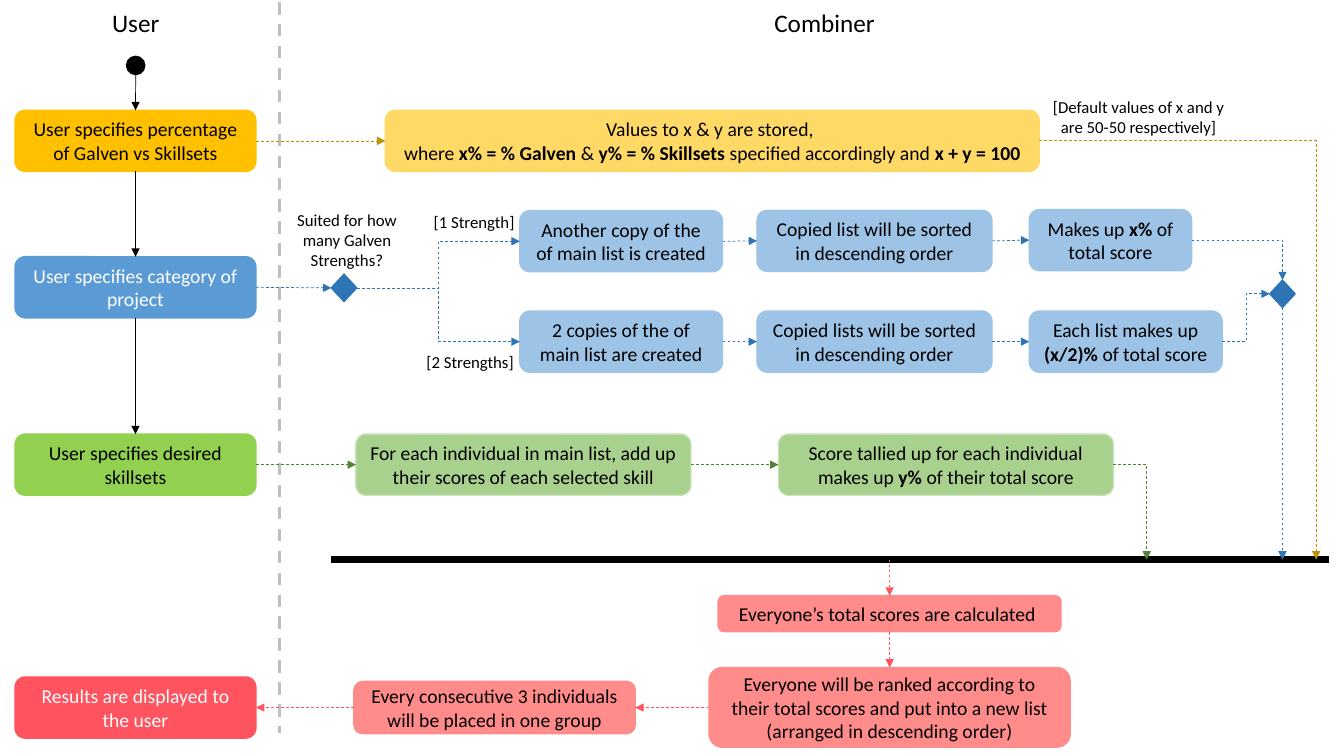
from dataclasses import dataclass
from typing import Optional

from pptx import Presentation
from pptx import util as u
from pptx.dml.color import RGBColor
from pptx.enum import dml, shapes, text
from pptx.oxml.ns import qn

FONT = "Calibri"
BLACK, WHITE = "000000", "FFFFFF"
GOLD, BLUE, GREEN, RED = "BF9000", "2E75B6", "548235", "FF535F"
PALE_BLUE, PALE_GREEN, PALE_RED = "9DC3E6", "A9D18E", "FF8B8B"
TOP, LEFT, BOTTOM, RIGHT = range(4)
ROUNDED = shapes.MSO_SHAPE.ROUNDED_RECTANGLE
DIAMOND = shapes.MSO_SHAPE.FLOWCHART_SORT
ROW = 1.54
BAR_Y = 14.1


@dataclass
class Node:
    name: str
    left: float
    top: float
    width: float
    fill: str
    words: str = ""
    height: float = ROW
    ink: str = BLACK
    outline: Optional[str] = None
    kind: int = ROUNDED


@dataclass
class Label:
    left: float
    top: float
    width: float
    height: float
    words: str
    size: int = 12


@dataclass
class Arrow:
    source: str
    exit: int
    target: str
    entry: int
    colour: str
    bends: int = 0


@dataclass
class BarArrow:
    source: str
    exit: int
    x: float
    colour: str
    bends: int = 0


def user_step(name: str, top: float, fill: str, words: str, ink: str = BLACK) -> Node:
    return Node(name, 0.38, top, 6.07, fill, words, ink=ink)


def diamond(name: str, left: float, top: float) -> Node:
    return Node(name, left, top, 0.64, BLUE, height=0.69, kind=DIAMOND)


LABELS = [
    Label(17.96, 0.05, 5.64, 1.02, "Combiner", 18),
    Label(0.6, 0.05, 5.64, 1.02, "User", 18),
    Label(7.07, 5.16, 3.35, 1.8, "Suited for how many Galven Strengths?"),
    Label(10.64, 5.21, 2.62, 0.76, "[1 Strength]"),
    Label(10.44, 8.74, 2.82, 0.76, "[2 Strengths]"),
    Label(25.99, 2.31, 5.41, 1.27, "[Default values of x and y are 50-50 respectively]"),
]

NODES = [
    Node("start", 3.19, 1.42, 0.46, BLACK, height=0.46, kind=shapes.MSO_SHAPE.OVAL),
    user_step("percentage", 2.78, "FFC000", "User specifies percentage of Galven vs Skillsets"),
    user_step("category", 6.47, "5B9BD5", "User specifies category of project", WHITE),
    user_step("skillsets", 10.94, "92D050", "User specifies desired skillsets"),
    user_step("results", 17.06, RED, "Results are displayed to the user", WHITE),
    Node("values", 9.71, 2.78, 16.48, "FFD966",
         "Values to x & y are stored, \nwhere *x% = % Galven *& *y% = % Skillsets*"
         " specified accordingly and *x + y = 100*"),
    diamond("split", 8.35, 6.91),
    Node("one copy", 13.1, 5.31, 5.11, PALE_BLUE, "Another copy of the of main list is created"),
    Node("one sorted", 19.08, 5.3, 5.92, PALE_BLUE, "Copied list will be sorted in descending order"),
    Node("one share", 25.94, 5.28, 4.09, PALE_BLUE, "Makes up *x%* of total score"),
    Node("two copies", 13.1, 7.84, 5.11, PALE_BLUE, "2 copies of the of main list are created"),
    Node("two sorted", 19.08, 7.84, 5.92, PALE_BLUE, "Copied lists will be sorted in descending order"),
    Node("two shares", 25.94, 7.84, 4.86, PALE_BLUE, "Each list makes up *(x/2)% *of total score"),
    diamond("merge", 32, 7.06),
    Node("skill scores", 8.97, 10.94, 8.44, PALE_GREEN,
         "For each individual in main list, add up their scores of each selected skill", outline="C5E0B4"),
    Node("tally", 19.62, 10.94, 8.44, PALE_GREEN,
         "Score tallied up for each individual makes up *y% *of their total score", outline="C5E0B4"),
    Node("totals", 18.1, 15.01, 8.64, PALE_RED, "Everyone’s total scores are calculated ", 0.91),
    Node("ranking", 17.87, 16.82, 9.1, PALE_RED,
         "Everyone will be ranked according to their total scores and put into a new list"
         " (arranged in descending order)", 2.01),
    Node("groups", 8.92, 17.17, 7.09, PALE_RED,
         "Every consecutive 3 individuals will be placed in one group", 1.32),
]

ARROWS = [
    Arrow("start", BOTTOM, "percentage", TOP, BLACK),
    Arrow("percentage", BOTTOM, "category", TOP, BLACK),
    Arrow("category", BOTTOM, "skillsets", TOP, BLACK),
    Arrow("percentage", RIGHT, "values", LEFT, GOLD),
    Arrow("category", RIGHT, "split", LEFT, BLUE),
    Arrow("split", RIGHT, "one copy", LEFT, BLUE, 2),
    Arrow("split", RIGHT, "two copies", LEFT, BLUE, 2),
    Arrow("one copy", RIGHT, "one sorted", LEFT, BLUE),
    Arrow("one sorted", RIGHT, "one share", LEFT, BLUE),
    Arrow("two copies", RIGHT, "two sorted", LEFT, BLUE),
    Arrow("two sorted", RIGHT, "two shares", LEFT, BLUE),
    Arrow("one share", RIGHT, "merge", TOP, BLUE, 1),
    Arrow("two shares", RIGHT, "merge", LEFT, BLUE, 2),
    Arrow("skillsets", RIGHT, "skill scores", LEFT, GREEN),
    Arrow("skill scores", RIGHT, "tally", LEFT, GREEN),
    Arrow("totals", BOTTOM, "ranking", TOP, RED),
    Arrow("ranking", LEFT, "groups", RIGHT, RED),
    Arrow("groups", LEFT, "results", RIGHT, RED),
]

BAR_ARROWS = [
    BarArrow("values", RIGHT, 33.17, GOLD, 1),
    BarArrow("tally", RIGHT, 28.9, GREEN, 1),
    BarArrow("merge", BOTTOM, 32.32, BLUE),
]


def colour(value: str) -> RGBColor:
    return RGBColor.from_string(value)


def write(frame, words: str, size: int, ink: str) -> None:
    frame.word_wrap = True
    paragraph = frame.paragraphs[0]
    paragraph.alignment = text.PP_ALIGN.CENTER
    for index, part in enumerate(words.split("*")):
        for line_index, line in enumerate(part.split("\n")):
            if line_index:
                paragraph.add_line_break()
            if line:
                run = paragraph.add_run()
                run.text = line
                run.font.name = FONT
                run.font.size = u.Pt(size)
                run.font.bold = index % 2 == 1
                run.font.color.rgb = colour(ink)


def draw_label(slide, label: Label) -> None:
    box = slide.shapes.add_textbox(*map(u.Cm, (label.left, label.top, label.width, label.height)))
    write(box.text_frame, label.words, label.size, BLACK)
    box.text_frame.auto_size = text.MSO_AUTO_SIZE.SHAPE_TO_FIT_TEXT


def draw_node(slide, node: Node) -> None:
    shape = slide.shapes.add_shape(node.kind, *map(u.Cm, (node.left, node.top, node.width, node.height)))
    shape.shadow.inherit = False
    shape.fill.solid()
    shape.fill.fore_color.rgb = colour(node.fill)
    shape.line.color.rgb = colour(node.outline or node.fill)
    shape.line.width = u.Pt(1)
    if node.words:
        shape.text_frame.vertical_anchor = text.MSO_ANCHOR.MIDDLE
        write(shape.text_frame, node.words, 14, node.ink)


def site(node: Node, side: int) -> tuple[float, float]:
    middle, centre = node.left + node.width / 2, node.top + node.height / 2
    return {TOP: (middle, node.top), LEFT: (node.left, centre),
            BOTTOM: (middle, node.top + node.height), RIGHT: (node.left + node.width, centre)}[side]


def draw_line(slide, start: tuple[float, float], end: tuple[float, float], ink: str,
              width: float = 0.5, dashed: bool = True, arrow: bool = True, bends: int = 0) -> None:
    kind = shapes.MSO_CONNECTOR.ELBOW if bends else shapes.MSO_CONNECTOR.STRAIGHT
    connector = slide.shapes.add_connector(kind, *map(u.Cm, (*start, *end)))
    connector.line.color.rgb = colour(ink)
    connector.line.width = u.Pt(width)
    if dashed:
        connector.line.dash_style = dml.MSO_LINE.DASH
    properties = connector._element.spPr
    if bends == 1:
        properties.find(qn("a:prstGeom")).set("prst", "bentConnector2")
    if arrow:
        outline = properties.find(qn("a:ln"))
        outline.append(outline.makeelement(qn("a:tailEnd"), {"type": "triangle"}))
    properties.append(properties.makeelement(qn("a:effectLst"), {}))


presentation = Presentation()
presentation.slide_width, presentation.slide_height = u.Cm(33.87), u.Cm(19.05)
slide = presentation.slides.add_slide(presentation.slide_layouts[6])
draw_line(slide, (7.04, 0.05), (7.04, 18.47), "BFBFBF", 2.25, arrow=False)
draw_line(slide, (8.35, BAR_Y), (33.5, BAR_Y), BLACK, 4.5, dashed=False, arrow=False)
for label in LABELS:
    draw_label(slide, label)
for node in NODES:
    draw_node(slide, node)

nodes = {node.name: node for node in NODES}
for arrow in ARROWS:
    draw_line(slide, site(nodes[arrow.source], arrow.exit), site(nodes[arrow.target], arrow.entry),
              arrow.colour, dashed=arrow.colour != BLACK, bends=arrow.bends)
for arrow in BAR_ARROWS:
    draw_line(slide, site(nodes[arrow.source], arrow.exit), (arrow.x, BAR_Y), arrow.colour, bends=arrow.bends)
totals_x, totals_y = site(nodes["totals"], TOP)
draw_line(slide, (totals_x, BAR_Y), (totals_x, totals_y), RED)
presentation.save("out.pptx")
